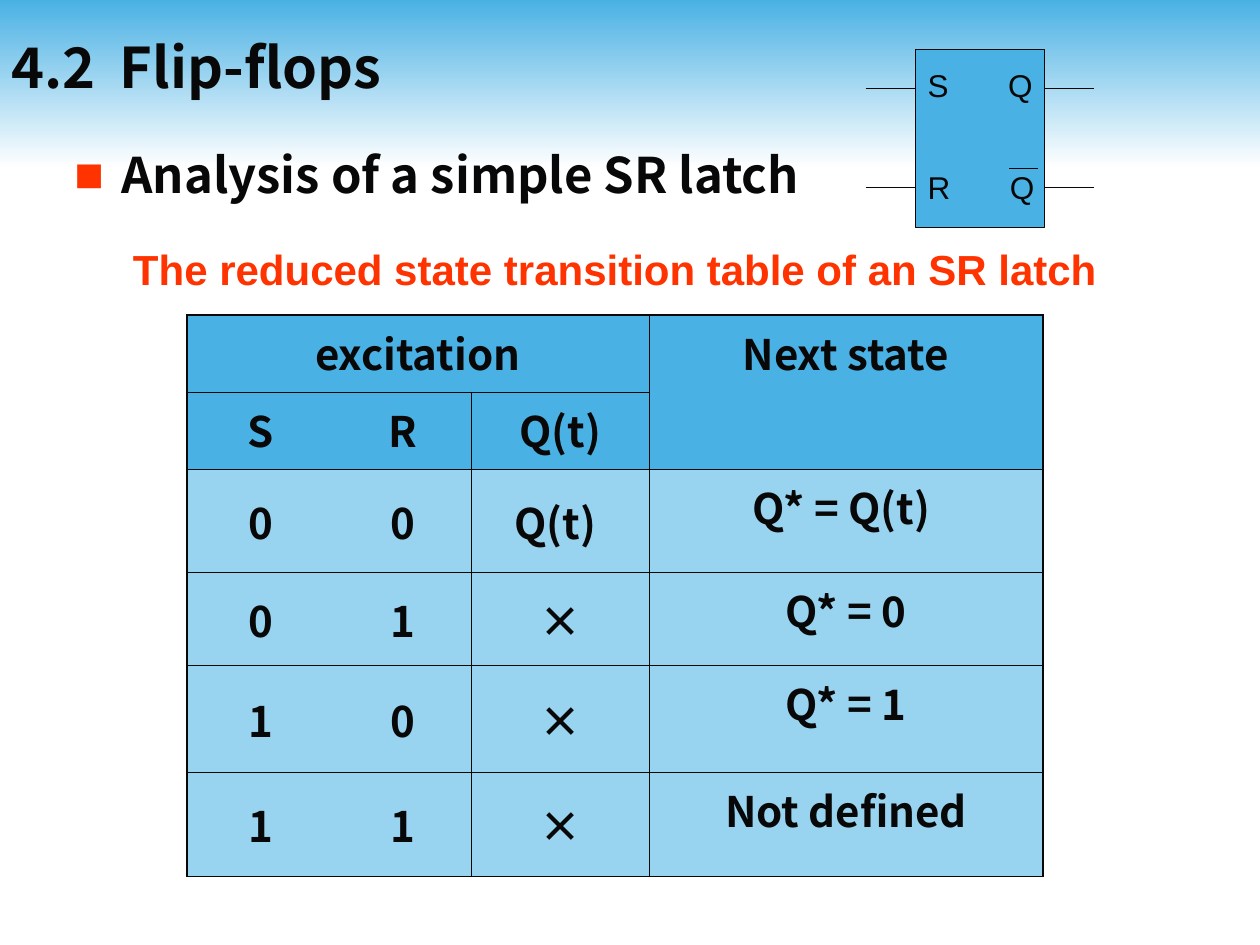
import pptx
import pptx.util
import pptx.dml.color
import pptx.enum.shapes
import pptx.enum.text
import pptx.oxml
import pptx.oxml.ns

Pt = pptx.util.Pt
RGB = pptx.dml.color.RGBColor.from_string
ALIGN = pptx.enum.text.PP_ALIGN
ANCHOR = pptx.enum.text.MSO_ANCHOR
SHAPE = pptx.enum.shapes.MSO_SHAPE
NAMESPACE = pptx.oxml.ns.nsdecls("a")

theme = {
    "ink": "080808", "accent": "FF3300", "blue": "4AB1E4", "pale": "98D3F0", "white": "FFFFFF",
    "title": {"name": "Noto Sans CJK JP", "size": Pt(32), "bold": True},
    "body": {"name": "Noto Sans CJK JP", "size": Pt(28), "bold": True},
    "table": {"name": "Noto Sans CJK SC", "size": Pt(24), "bold": True},
    "caption": {"name": "Arial", "size": Pt(24), "bold": True},
    "pin": {"name": "Arial", "size": Pt(18), "bold": False},
}


def write(para, text, style, color="ink", tab=None, bullet=None):
    properties = para._p.get_or_add_pPr()
    fragments = []
    if bullet:
        fragments += [
            f'<a:buClr {NAMESPACE}><a:srgbClr val="{theme["accent"]}"/></a:buClr>',
            f'<a:buFont {NAMESPACE} typeface="Arial"/>',
            f'<a:buChar {NAMESPACE} char="{bullet}"/>',
        ]
    if tab:
        fragments.append(f'<a:tabLst {NAMESPACE}><a:tab pos="{Pt(tab)}" algn="l"/></a:tabLst>')
    for fragment in fragments:
        properties.append(pptx.oxml.parse_xml(fragment))
    span = para.add_run()
    span.text = text
    for key, value in theme[style].items():
        setattr(span.font, key, value)
    span.font.color.rgb = RGB(theme[color])
    span._r.get_or_add_rPr().append(
        pptx.oxml.parse_xml(f'<a:ea {NAMESPACE} typeface="{theme[style]["name"]}"/>'))


def add_box(left, top, width, height, **frame_format):
    frame = page.shapes.add_textbox(Pt(left), Pt(top), Pt(width), Pt(height)).text_frame
    for key, value in {"word_wrap": True, **frame_format}.items():
        setattr(frame, key, value)
    return frame


deck = pptx.Presentation()
deck.slide_width, deck.slide_height = Pt(720), Pt(540)
page = deck.slides.add_slide(deck.slide_layouts[6])

banner = page.shapes.add_shape(SHAPE.RECTANGLE, 0, 0, Pt(720), Pt(96))
banner.shadow.inherit = False
banner.line.fill.background()
banner.fill.gradient()
banner.fill.gradient_angle = 270
for stop, position, color in zip(banner.fill.gradient_stops, (0, 1), ("blue", "white")):
    stop.position = position
    stop.color.rgb = RGB(theme[color])

body = add_box(36, 82.8, 653, 415.4, margin_left=Pt(6.5), margin_top=0)
paragraph_properties = body.paragraphs[0]._p.get_or_add_pPr()
for key, value in {"marL": Pt(27), "indent": Pt(-27)}.items():
    paragraph_properties.set(key, str(value))
write(body.paragraphs[0], "Analysis of a simple SR latch", "body", bullet="■")

latch = page.shapes.add_shape(SHAPE.RECTANGLE, Pt(523), Pt(28.2), Pt(73.8), Pt(102))
latch.shadow.inherit = False
latch.fill.solid()
latch.fill.fore_color.rgb = RGB(theme["blue"])
latch.line.color.rgb = RGB(theme["ink"])
latch.line.width = Pt(0.75)

wires = [(left, right, y) for left, right in ((494.7, 523), (596.8, 625)) for y in (50.4, 107.3)]
overline = (576.7, 593.3, 96.2)
for left, right, y in wires + [overline]:
    wire = page.shapes.add_connector(
        pptx.enum.shapes.MSO_CONNECTOR.STRAIGHT, Pt(left), Pt(y), Pt(right), Pt(y))
    wire.line.color.rgb = RGB(theme["ink"])
    wire.line.width = Pt(0.75)
    wire._element.spPr.append(pptx.oxml.parse_xml(f"<a:effectLst {NAMESPACE}/>"))

pins = add_box(523, 34.4, 79, 85.7)
write(pins.paragraphs[0], "S\tQ", "pin", tab=46)
lower_pins = pins.add_paragraph()
lower_pins.space_before = Pt(36.4)
write(lower_pins, "R\tQ", "pin", tab=47)

rows = [
    ("excitation", "", "", "Next state"),
    ("S", "R", "Q(t)", ""),
    ("0", "0", "Q(t) ", "Q* = Q(t) "),
    ("0", "1", "×", "Q* = 0"),
    ("1", "0", "×", "Q* = 1"),
    ("1", "1", "×", "Not defined"),
]
column_widths = (84, 78.5, 101.5, 225.2)
row_heights = (44, 44.5, 58.5, 53.5, 61, 59.5)
table = page.shapes.add_table(
    len(rows), len(column_widths), Pt(106.8), Pt(180), Pt(sum(column_widths)), Pt(sum(row_heights))).table
for key in ("first_row", "horz_banding"):
    setattr(table, key, False)
for column, width in zip(table.columns, column_widths):
    column.width = Pt(width)
for row, height in zip(table.rows, row_heights):
    row.height = Pt(height)
table.cell(0, 0).merge(table.cell(0, 2))
table.cell(0, 3).merge(table.cell(1, 3))

for r, values in enumerate(rows):
    for c, value in enumerate(values):
        cell = table.cell(r, c)
        outer = {"lnL": c == 0, "lnR": c == 3, "lnT": r == 0, "lnB": False}
        hidden = {"lnR": r > 0 and c == 0, "lnL": r > 0 and c == 1}
        for side, thick in outer.items():
            paint = "<a:noFill/>" if hidden.get(side) else (
                f'<a:solidFill><a:srgbClr val="{theme["ink"]}"/></a:solidFill>')
            cell._tc.get_or_add_tcPr().append(pptx.oxml.parse_xml(
                f'<a:{side} {NAMESPACE} w="{Pt(1.08 if thick else 0.45)}">{paint}</a:{side}>'))
        cell.fill.solid()
        cell.fill.fore_color.rgb = RGB(theme["blue" if r < 2 else "pale"])
        cell.vertical_anchor = ANCHOR.MIDDLE if r > 1 and c < 3 else ANCHOR.TOP
        if value:
            para = cell.text_frame.paragraphs[0]
            para.alignment = ALIGN.CENTER
            write(para, value, "table")

title = add_box(0, 3.6, 720, 68.4, margin_left=Pt(6.5), vertical_anchor=ANCHOR.MIDDLE)
write(title.paragraphs[0], "4.2\tFlip-flops", "title", tab=62)

caption = add_box(45.4, 135.4, 612, 36)
caption.paragraphs[0].alignment = ALIGN.CENTER
write(caption.paragraphs[0], "The reduced state transition table of an SR latch", "caption", color="accent")

deck.save("out.pptx")
